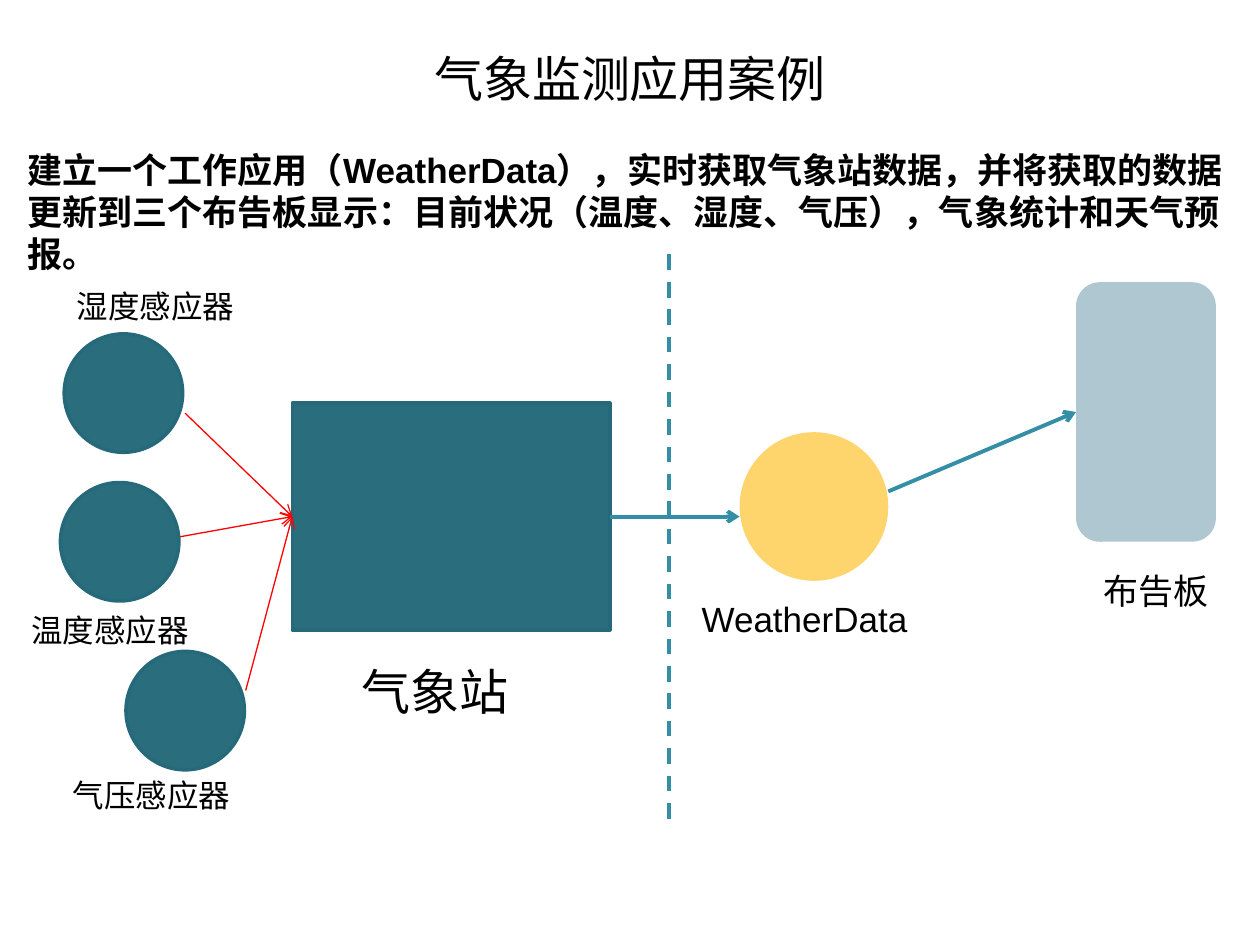
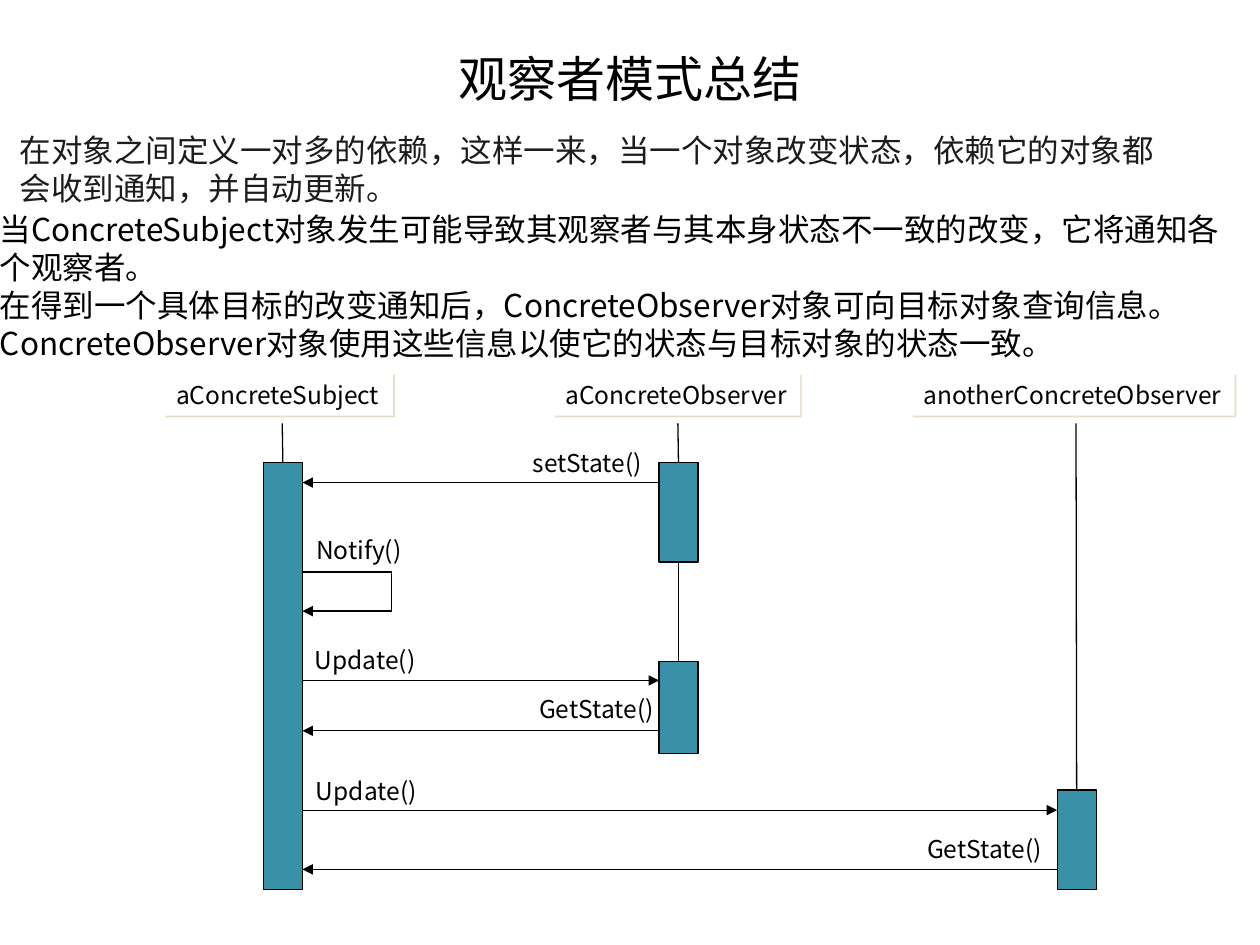
import pptx
import pptx.dml.color
import pptx.enum.dml
import pptx.enum.shapes
import pptx.enum.text
import pptx.oxml
import pptx.oxml.ns
import pptx.util
from lxml import etree

PX = 9144
SANS = "Noto Sans CJK SC"
SHAPES = pptx.enum.shapes.MSO_SHAPE
COLOURS = {
    "black": "000000", "ink": "1C1C1C", "white": "FFFFFF", "red": "FF0000",
    "station": "2A6D7D", "station edge": "26697A", "flow": "348FA6",
    "data": "FED46C", "board": "AEC7D0", "bar": "3891A7", "shadow": "E7DEC9",
}


def colour(name):
    """Return the named colour."""
    return pptx.dml.color.RGBColor.from_string(COLOURS[name])


def add_element(parent, tag, **attributes):
    """Append a drawing element and return it."""
    return etree.SubElement(parent, pptx.oxml.ns.qn(tag), attributes)


class Deck:
    """Hold the shared style and the current slide."""

    def __init__(self):
        """Start an empty presentation of 1000 by 750 px."""
        self.presentation = pptx.Presentation()
        self.presentation.slide_width = 1000 * PX
        self.presentation.slide_height = 750 * PX
        self.slide = None

    def new_slide(self, title):
        """Add a blank slide with a centred title."""
        layout = self.presentation.slide_layouts[6]
        self.slide = self.presentation.slides.add_slide(layout)
        shape = self.text((50, 30, 900, 64), title, 28, SANS)
        shape.text_frame.vertical_anchor = pptx.enum.text.MSO_ANCHOR.MIDDLE
        shape.text_frame.paragraphs[0].alignment = pptx.enum.text.PP_ALIGN.CENTER

    def fill_text(self, shape, text, size, font="Arial", ink="black", bold=False, wrap=True):
        """Put left-aligned text into a shape and format its runs."""
        frame = shape.text_frame
        frame.text = text
        frame.word_wrap = wrap
        sizes = pptx.enum.text.MSO_AUTO_SIZE
        frame.auto_size = sizes.NONE if wrap else sizes.SHAPE_TO_FIT_TEXT
        for paragraph in frame.paragraphs:
            paragraph.alignment = pptx.enum.text.PP_ALIGN.LEFT
            for run in paragraph.runs:
                run.font.size = pptx.util.Pt(size)
                run.font.bold = bold
                run.font.color.rgb = colour(ink)
                run.font.name = font
                add_element(run._r.get_or_add_rPr(), "a:ea", typeface=SANS)

    def text(self, box, text, size, *style, **options):
        """Add a text box."""
        shape = self.slide.shapes.add_textbox(*(length * PX for length in box))
        self.fill_text(shape, text, size, *style, **options)
        return shape

    def shape(self, kind, box, fill, edge=None, width=0.75):
        """Add a filled preset shape."""
        shape = self.slide.shapes.add_shape(kind, *(length * PX for length in box))
        shape.shadow.inherit = False
        shape.fill.solid()
        shape.fill.fore_color.rgb = colour(fill)
        if edge:
            shape.line.color.rgb = colour(edge)
            shape.line.width = pptx.util.Pt(width)
        else:
            shape.line.fill.background()
        return shape

    def bar(self, x, y, height):
        """Add an activation bar."""
        return self.shape(SHAPES.RECTANGLE, (x, y, 31, height), "bar", "black")

    def header(self, x, width, name):
        """Add a participant name on a white plate with a soft edge."""
        shape = self.shape(SHAPES.RECTANGLE, (x, 296, width, 34), "white")
        effects = shape._element.spPr.find(pptx.oxml.ns.qn("a:effectLst"))
        shadow = add_element(effects, "a:outerShdw", dist="17780", dir="2700000",
                             algn="ctr", rotWithShape="0")
        add_element(shadow, "a:srgbClr", val=COLOURS["shadow"])
        self.fill_text(shape, name, 14, SANS, wrap=False)

    def line(self, start, end, ink="black", width=0.75, head=None, dash=False,
             source=None, target=None):
        """Add a straight connector, joined to (shape, site) pairs if given."""
        points = (length * PX for length in (*start, *end))
        kind = pptx.enum.shapes.MSO_CONNECTOR.STRAIGHT
        connector = self.slide.shapes.add_connector(kind, *points)
        connector.line.color.rgb = colour(ink)
        connector.line.width = pptx.util.Pt(width)
        if dash:
            connector.line.dash_style = pptx.enum.dml.MSO_LINE.DASH
        if head:
            add_element(connector.line._get_or_add_ln(), "a:tailEnd", type=head)
        add_element(connector._element.spPr, "a:effectLst")
        if source:
            connector.begin_connect(*source)
        if target:
            connector.end_connect(*target)

    def message(self, start, end, y):
        """Add a level message arrow."""
        self.line((start, y), (end, y), head="triangle")


def weather_slide(deck):
    """Draw the flow from the sensors to the bulletin board."""
    deck.new_slide("气象监测应用案例")
    deck.text((12, 113, 988, 110),
              "建立一个工作应用（WeatherData），实时获取气象站数据，并将获取的数据"
              "更新到三个布告板显示：目前状况（温度、湿度、气压），气象统计和天气预报。",
              20, bold=True)
    station = deck.shape(SHAPES.RECTANGLE, (232, 320, 252, 180), "station", "station edge", 2)
    sensors = [
        ("湿度感应器", (51, 265), (51, 223), (147, 328)),
        ("温度感应器", (48, 383), (15, 480), (143, 426)),
        ("气压感应器", (100, 517), (48, 611), (195, 548)),
    ]
    for name, corner, label, start in sensors:
        deck.shape(SHAPES.OVAL, (*corner, 94, 94), "station", "station edge", 2)
        deck.text((*label, 162, 40), name, 18)
        deck.line(start, (232, 410), "red", head="arrow", target=(station, 1))
    deck.text((277, 520, 163, 57), "气象站", 28)
    deck.line((531, 202), (531, 651), "flow", 2.25, dash=True)
    deck.shape(SHAPES.OVAL, (587, 343, 118, 118), "data")
    board = deck.shape(SHAPES.ROUNDED_RECTANGLE, (854, 224, 111, 206), "board")
    board.adjustments[0] = 0.17
    deck.line((484, 410), (587, 410), "flow", 2.25, "arrow", source=(station, 3))
    deck.line((705, 390), (854, 327), "flow", 2.25, "arrow", target=(board, 1))
    deck.text((547, 469, 197, 44), "WeatherData", 20)
    deck.text((866, 447, 130, 44), "布告板", 20)


def observer_slide(deck):
    """Draw the observer summary and its sequence diagram."""
    deck.new_slide("观察者模式总结")
    deck.text((6, 99, 929, 65),
              "在对象之间定义一对多的依赖，这样一来，当一个对象改变状态，"
              "依赖它的对象都会收到通知，并自动更新。", 18, "Arial", "ink")
    details = deck.text(
        (0, 162, 990, 130),
        "当ConcreteSubject对象发生可能导致其观察者与其本身状态不一致的改变，它将通知各个观察者。\n"
        "在得到一个具体目标的改变通知后，ConcreteObserver对象可向目标对象查询信息。"
        "ConcreteObserver对象使用这些信息以使它的状态与目标对象的状态一致。", 18, SANS)
    details.text_frame.margin_left = details.text_frame.margin_right = 0

    subject, observer, another = 209, 523, 839
    subject_edge = subject + 31
    for x, y, height in [(subject, 367, 339), (observer, 367, 79), (another, 627, 79)]:
        bar = deck.bar(x, y, height)
        deck.line((x + 15, y), (x + 15, 336), source=(bar, 0))
        if x == observer:
            lower_bar = deck.bar(x, 525, 73)
            deck.line((x + 15, 525), (x + 15, 446), source=(lower_bar, 0), target=(bar, 2))

    deck.line((subject_edge, 454), (311, 454))
    deck.line((311, 454), (311, 485))
    for start, end, y in [
        (observer, subject_edge, 383), (311, subject_edge, 485),
        (subject_edge, observer, 540), (observer, subject_edge, 580),
        (subject_edge, another, 643), (another, subject_edge, 690),
    ]:
        deck.message(start, end, y)

    for x, width, name in [
        (130, 182, "aConcreteSubject"), (439, 196, "aConcreteObserver"),
        (723, 257, "anotherConcreteObserver"),
    ]:
        deck.header(x, width, name)
    for x, y, width, call in [
        (413, 351, 108, "setState()"), (241, 420, 88, "Notify()"),
        (240, 507, 100, "Update()"), (418, 546, 113, "GetState()"),
        (241, 611, 100, "Update()"), (726, 657, 113, "GetState()"),
    ]:
        deck.text((x, y, width, 34), call, 14, SANS, wrap=False)


def main():
    """Build and save both slides."""
    deck = Deck()
    weather_slide(deck)
    observer_slide(deck)
    deck.presentation.save("out.pptx")


if __name__ == "__main__":
    main()
